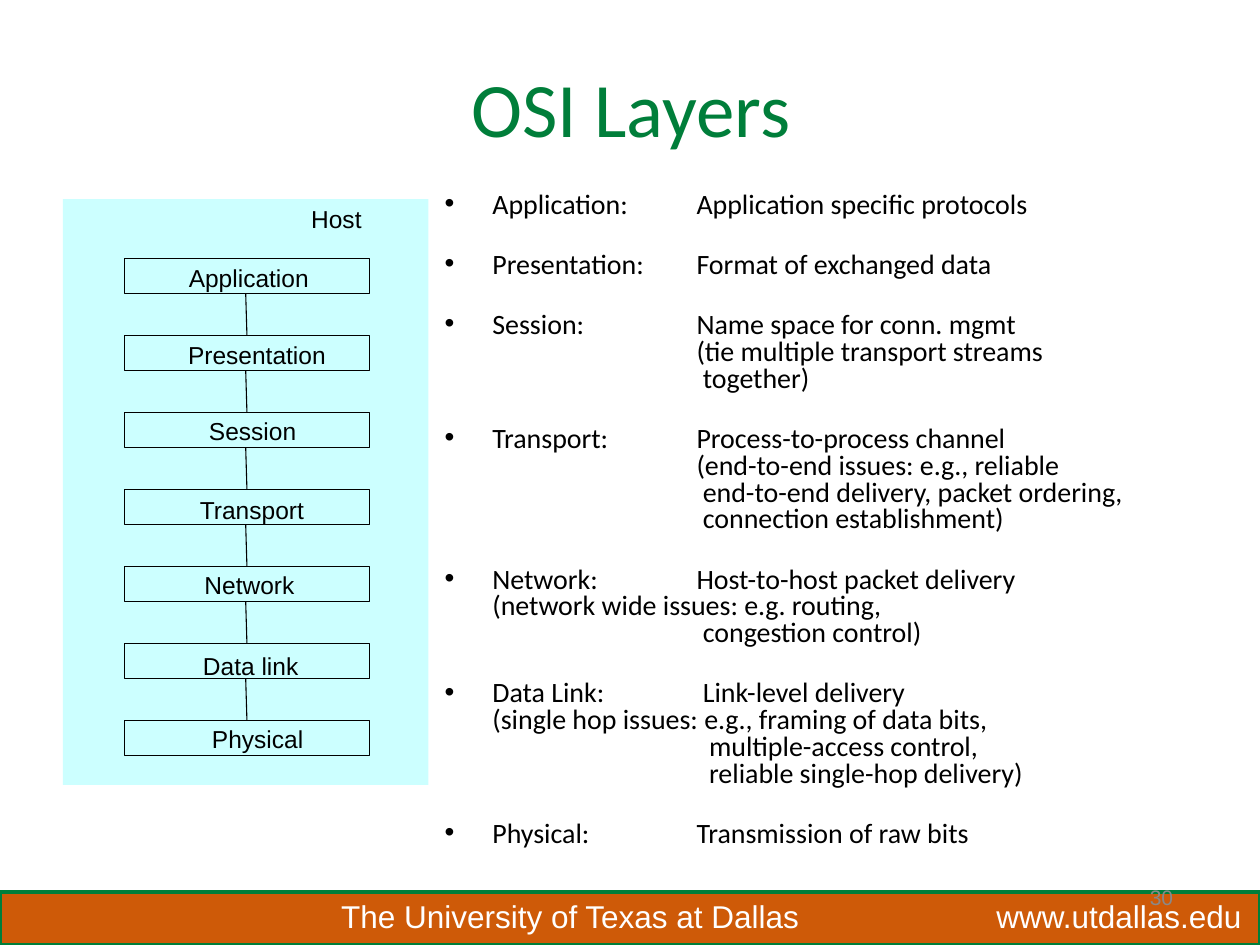
from lxml import etree
from pptx import Presentation
from pptx.dml.color import RGBColor
from pptx.enum.shapes import MSO_CONNECTOR, MSO_SHAPE
from pptx.enum.text import MSO_ANCHOR, MSO_AUTO_SIZE, PP_ALIGN
from pptx.oxml.ns import qn
from pptx.util import Inches, Pt

LEFT, CENTER, RIGHT = PP_ALIGN.LEFT, PP_ALIGN.CENTER, PP_ALIGN.RIGHT
TOP, MIDDLE = MSO_ANCHOR.TOP, MSO_ANCHOR.MIDDLE
FIXED, GROW = MSO_AUTO_SIZE.NONE, MSO_AUTO_SIZE.SHAPE_TO_FIT_TEXT
RECTANGLE, STRAIGHT = MSO_SHAPE.RECTANGLE, MSO_CONNECTOR.STRAIGHT

THEME = {
    "green": "007E3A", "orange": "CE5A08", "panel": "CCFFFF",
    "black": "000000", "white": "FFFFFF", "grey": "898989",
    "heading": "Calibri", "label": "Arial",
    "title_size": 44, "footer_size": 18, "body_size": 16,
    "label_size": 14, "number_size": 12,
}

TITLE = "OSI Layers"
FOOTER = [("The University of Texas at Dallas", 2.61, 3.87), ("www.utdallas.edu", 7.81, 2.16)]
PAGE_NUMBER = "30"
HOST_LABEL = ("Host", 2.47, 0.4, 1.62)

# name, label left, label width, label drop below the box top
LAYERS = [
    ("Application", 1.5, 0.95, 0.04),
    ("Presentation", 1.49, 1.1, 0.04),
    ("Session", 1.66, 0.69, 0.03),
    ("Transport", 1.58, 0.84, 0.04),
    ("Network", 1.62, 0.72, 0.03),
    ("Data link", 1.61, 0.76, 0.06),
    ("Physical", 1.68, 0.73, 0.03),
]

DESCRIPTIONS = [
    ["Application:\tApplication specific protocols"],
    ["Presentation:\tFormat of exchanged data"],
    ["Session:\tName space for conn. mgmt", "\t(tie multiple transport streams", "\t\ttogether)"],
    ["Transport:\tProcess-to-process channel", "\t(end-to-end issues: e.g., reliable",
     "\t\tend-to-end delivery, packet ordering,", "\t\tconnection establishment)"],
    ["Network:\tHost-to-host packet delivery", "(network wide issues: e.g. routing,",
     "\t\tcongestion control)"],
    ["Data Link:\t\tLink-level delivery", "(single hop issues: e.g., framing of data bits,",
     "\t\t\tmultiple-access control,", "\t\t\treliable single-hop delivery)"],
    ["Physical:\tTransmission of raw bits"],
]
TAB_STOPS = (2, 2.05, 2.1)
HANGING = 0.38

BOX_LEFT, BOX_WIDTH, BOX_HEIGHT = 0.99, 1.94, 0.28
FIRST_TOP, LAST_TOP = 2.05, 5.72
PITCH = (LAST_TOP - FIRST_TOP) / (len(LAYERS) - 1)
LABEL_SLACK = 0.03


def color(name):
    """Return the theme colour with this name."""
    return RGBColor.from_string(THEME[name])


def add_text(slide, text, box, size, ink, font="label", align=LEFT, anchor=TOP,
             wrap=False, inset=(0.1, 0.05)):
    """Add a text box with one uniform style and return its frame."""
    frame = slide.shapes.add_textbox(*map(Inches, box)).text_frame
    frame.word_wrap = wrap
    frame.auto_size = FIXED if wrap else GROW
    frame.vertical_anchor = anchor
    frame.margin_left = frame.margin_right = Inches(inset[0])
    frame.margin_top = frame.margin_bottom = Inches(inset[1])
    frame.text = text
    for paragraph in frame.paragraphs:
        paragraph.alignment = align
        for run in paragraph.runs:
            run.font.name = THEME[font]
            run.font.size = Pt(THEME[size])
            run.font.color.rgb = color(ink)
    return frame


def add_rectangle(slide, box, fill=None, line=None, width=0.62):
    """Add a rectangle with optional fill and outline."""
    shape = slide.shapes.add_shape(RECTANGLE, *map(Inches, box))
    shape.shadow.inherit = False
    if fill:
        shape.fill.solid()
        shape.fill.fore_color.rgb = color(fill)
    else:
        shape.fill.background()
    if line:
        shape.line.color.rgb = color(line)
        shape.line.width = Pt(width)
    else:
        shape.line.fill.background()


def add_link(slide, start, end):
    """Add a thin straight connector between two points."""
    connector = slide.shapes.add_connector(STRAIGHT, *map(Inches, start + end))
    connector.line.color.rgb = color("black")
    connector.line.width = Pt(0.62)
    etree.SubElement(connector._element.spPr, qn("a:effectLst"))


def add_bullet(paragraph):
    """Give a paragraph a hanging bullet and its tab stops."""
    properties = paragraph._p.get_or_add_pPr()
    properties.set("marL", str(Inches(HANGING)))
    properties.set("indent", str(-Inches(HANGING)))
    bullet_color = etree.SubElement(properties, qn("a:buClr"))
    etree.SubElement(bullet_color, qn("a:srgbClr"), val=THEME["black"])
    etree.SubElement(properties, qn("a:buFont"), typeface=THEME["label"])
    etree.SubElement(properties, qn("a:buChar"), char="•")
    tabs = etree.SubElement(properties, qn("a:tabLst"))
    for stop in TAB_STOPS:
        etree.SubElement(tabs, qn("a:tab"), pos=str(Inches(stop)), algn="l")


def add_descriptions(slide):
    """Add the bulleted explanation of each layer."""
    text = "\n".join("\v".join(lines) for lines in DESCRIPTIONS)
    frame = add_text(slide, text, (3.43, 1.48, 6.17, 5.32), "body_size", "black",
                     font="heading", wrap=True)
    for index, paragraph in enumerate(frame.paragraphs):
        add_bullet(paragraph)
        paragraph.line_spacing = 0.8
        paragraph.space_before = Pt(18 if index else 0)
        paragraph.space_after = Pt(1)


def add_stack(slide):
    """Add the host panel with its linked layer boxes."""
    add_rectangle(slide, (0.5, 1.58, 2.9, 4.65), fill="panel")
    labels = [HOST_LABEL]
    for index, (name, left, width, drop) in enumerate(LAYERS):
        top = FIRST_TOP + index * PITCH
        add_rectangle(slide, (BOX_LEFT, top, BOX_WIDTH, BOX_HEIGHT), line="black")
        labels.append((name, left, width, top + drop))
        if index:
            add_link(slide, (1.95, top - PITCH + BOX_HEIGHT), (1.96, top))
    for name, left, width, top in labels:
        box = (left - LABEL_SLACK, top, width + 2 * LABEL_SLACK, 0.23)
        add_text(slide, name, box, "label_size", "black", align=CENTER, inset=(0, 0))


def main():
    """Build the slide and save it."""
    presentation = Presentation()
    presentation.slide_width, presentation.slide_height = Inches(10), Inches(7.5)
    slide = presentation.slides.add_slide(presentation.slide_layouts[6])
    add_rectangle(slide, (0, 7.08, 10, 0.42), fill="orange", line="green", width=2)
    for text, left, width in FOOTER:
        add_text(slide, text, (left, 7.07, width, 0.4), "footer_size", "white")
    add_text(slide, TITLE, (0.51, 0.43, 9, 0.5), "title_size", "green",
             font="heading", align=CENTER, wrap=True)
    add_descriptions(slide)
    add_text(slide, PAGE_NUMBER, (7.08, 6.92, 2.33, 0.4), "number_size", "grey",
             align=RIGHT, anchor=MIDDLE, wrap=True)
    add_stack(slide)
    presentation.save("out.pptx")


if __name__ == "__main__":
    main()
